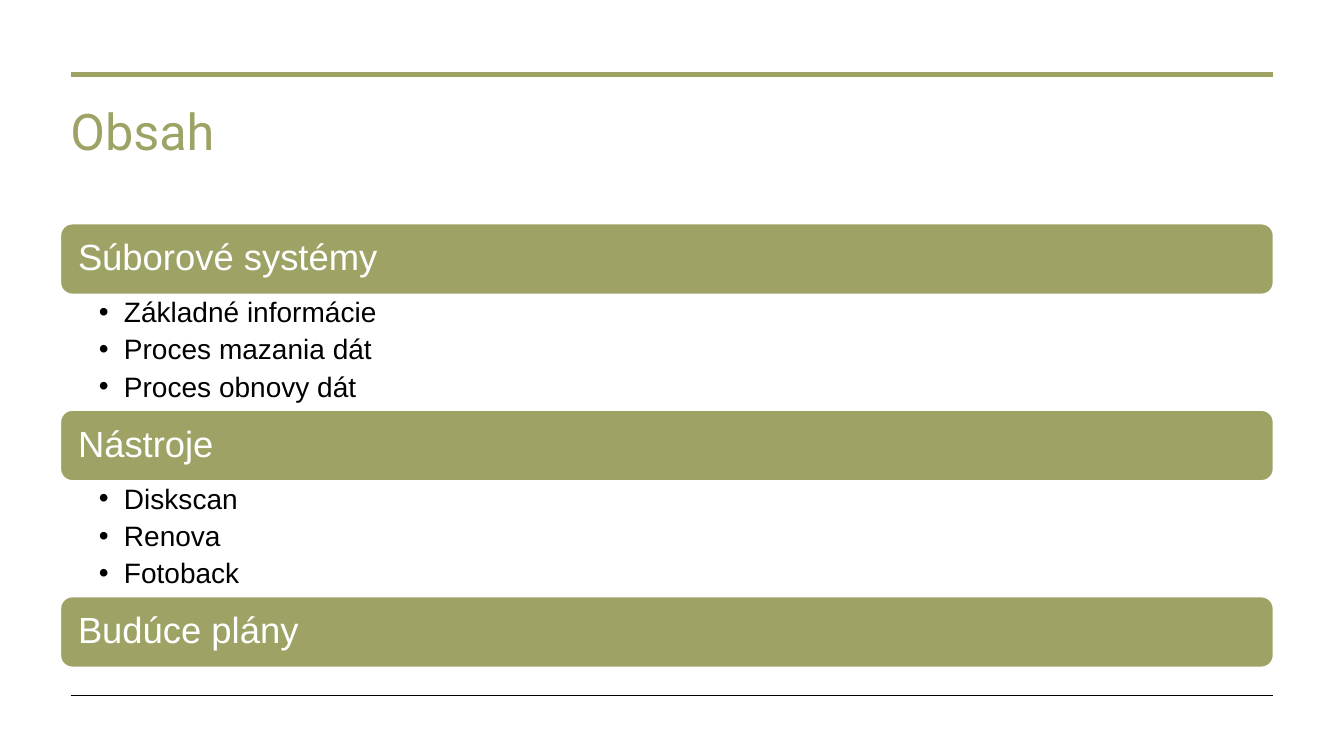
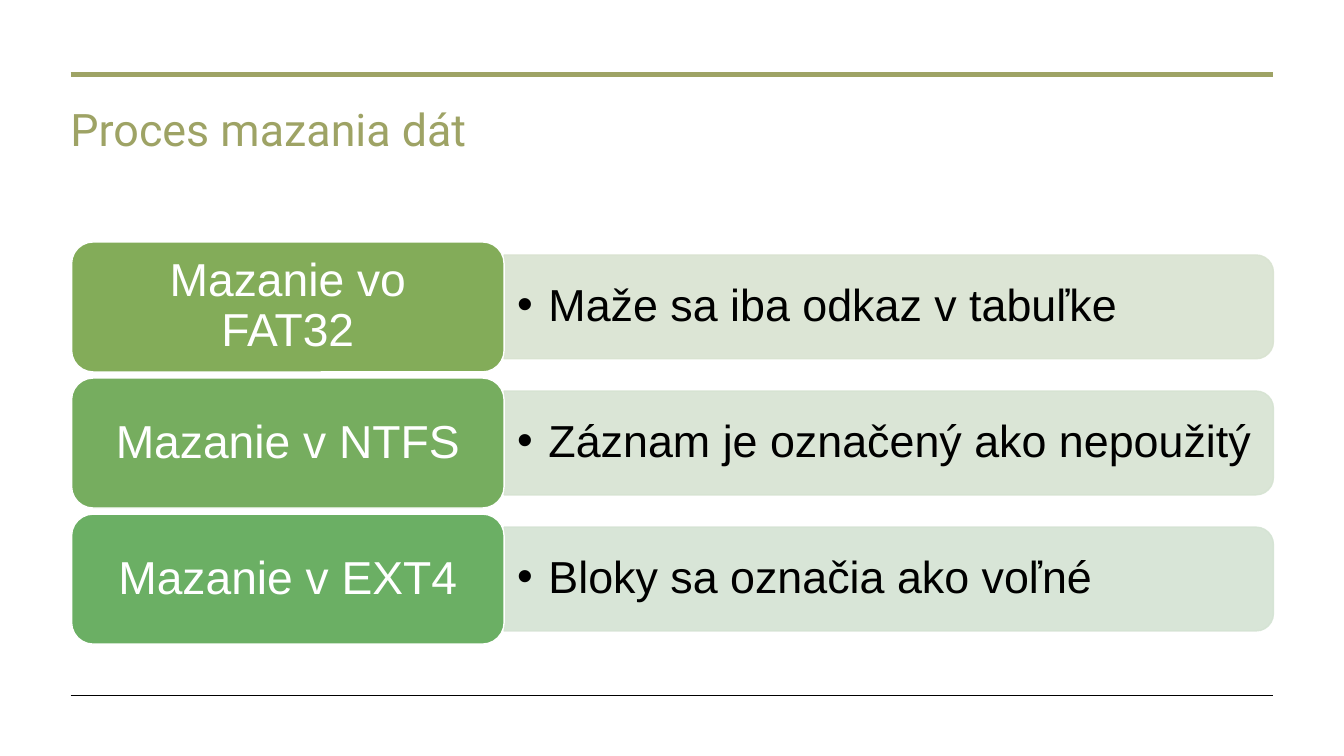
from lxml import etree
from pptx import Presentation
from pptx.dml.color import RGBColor
from pptx.enum.shapes import MSO_CONNECTOR, MSO_SHAPE
from pptx.enum.text import MSO_ANCHOR, PP_ALIGN
from pptx.oxml.ns import qn
from pptx.util import Pt

EMU_PER_PX = 9144  # 100 px to the inch
OLIVE, BLACK, WHITE = "9EA365", "000000", "FFFFFF"
TITLE_FONT, BODY_FONT = "Roboto", "Arial"

SECTIONS = [
    ("Súborové systémy", ["Základné informácie", "Proces mazania dát", "Proces obnovy dát"]),
    ("Nástroje", ["Diskscan", "Renova", "Fotoback"]),
    ("Budúce plány", []),
]
# Heading, explanation, card colour, bar colour
DELETIONS = [
    ("Mazanie vo FAT32", "Maže sa iba odkaz v tabuľke", "83AC59", "D9E3D1"),
    ("Mazanie v NTFS", "Záznam je označený ako nepoužitý", "76AD5F", "D6E3D2"),
    ("Mazanie v EXT4", "Bloky sa označia ako voľné", "6BAF64", "D4E3D3"),
]


def px(length):
    return round(length * EMU_PER_PX)


def color(hex_string):
    return RGBColor.from_string(hex_string)


def write(shape, lines, *, size, fill, font=BODY_FONT, align=PP_ALIGN.LEFT,
          anchor=MSO_ANCHOR.TOP, insets=(10, 5, 10, 5), line_spacing=0.9,
          space_after=0, bullet_indent=0):
    """Write one paragraph per line; insets run left, top, right, bottom."""
    frame = shape.text_frame
    frame.word_wrap = True
    frame.vertical_anchor = anchor
    (frame.margin_left, frame.margin_top,
     frame.margin_right, frame.margin_bottom) = map(px, insets)
    for index, line in enumerate(lines):
        paragraph = frame.add_paragraph() if index else frame.paragraphs[0]
        paragraph.alignment = align
        paragraph.line_spacing = line_spacing
        paragraph.space_after = Pt(space_after)
        run = paragraph.add_run()
        run.text = line
        run.font.name = font
        run.font.size = Pt(size)
        run.font.color.rgb = color(fill)
        if bullet_indent:
            properties = paragraph._p.get_or_add_pPr()
            properties.set("marL", str(px(bullet_indent)))
            properties.set("indent", str(-px(bullet_indent)))
            etree.SubElement(properties, qn("a:buFont")).set("typeface", BODY_FONT)
            etree.SubElement(properties, qn("a:buChar")).set("char", "•")


def add_text(slide, box, lines, **text_format):
    text_box = slide.shapes.add_textbox(*map(px, box))
    write(text_box, lines, **text_format)


def add_box(slide, kind, box, fill, outline=WHITE):
    shape = slide.shapes.add_shape(kind, *map(px, box))
    shape.shadow.inherit = False
    shape.fill.solid()
    shape.fill.fore_color.rgb = color(fill)
    shape.line.color.rgb = color(outline)
    shape.line.width = Pt(1)
    return shape


def set_opacity(shape, percent):
    for tint in shape.element.spPr.iter(qn("a:srgbClr")):
        etree.SubElement(tint, qn("a:alpha")).set("val", str(percent * 1000))


def add_rule(slide, top, fill, width):
    rule = slide.shapes.add_connector(
        MSO_CONNECTOR.STRAIGHT, px(70), px(top), px(1263), px(top))
    rule.line.color.rgb = color(fill)
    rule.line.width = Pt(width)
    etree.SubElement(rule.element.spPr, qn("a:effectLst"))


def add_framed_slide(presentation, title, title_size):
    """Add a blank slide with the shared rules and title."""
    slide = presentation.slides.add_slide(presentation.slide_layouts[6])
    add_rule(slide, 74, OLIVE, 3)
    add_rule(slide, 690, BLACK, 0.5)
    add_text(slide, (60, 104, 1202, 118), [title], size=title_size,
             fill=OLIVE, font=TITLE_FONT, line_spacing=0.85)
    return slide


def add_section(slide, box, heading, items):
    """Place a heading band at the top of the box and its bullets below."""
    left, top, width, height = box
    band_height = 70
    band = add_box(slide, MSO_SHAPE.ROUNDED_RECTANGLE,
                   (left, top, width, band_height), OLIVE)
    write(band, [heading], size=26, fill=WHITE, anchor=MSO_ANCHOR.MIDDLE,
          insets=(14, 11, 14, 11))
    if items:
        add_text(slide, (left, top + band_height, width, height - band_height),
                 items, size=20, fill=BLACK, insets=(38, 4, 20, 4),
                 space_after=5, bullet_indent=25)


def add_deletion_row(slide, box, heading, explanation, card_fill, bar_fill):
    """Place a card at the left of the box and a bar with rounded right end."""
    left, top, width, height = box
    card_width, bar_height = 429, 103
    bar_left, bar_width = left + card_width, width - card_width
    bar_top = top + (height - bar_height) / 2
    # The bar is drawn upright about the same centre, then turned on its side.
    turn = (bar_width - bar_height) / 2
    bar = add_box(slide, MSO_SHAPE.ROUND_2_SAME_RECTANGLE,
                  (bar_left + turn, bar_top - turn, bar_height, bar_width),
                  bar_fill, bar_fill)
    bar.rotation = 90
    set_opacity(bar, 90)
    add_text(slide, (bar_left, bar_top, bar_width - 5, bar_height), [explanation],
             size=32, fill=BLACK, anchor=MSO_ANCHOR.MIDDLE,
             insets=(13, 7, 13, 7), bullet_indent=31)
    card = add_box(slide, MSO_SHAPE.ROUNDED_RECTANGLE,
                   (left, top, card_width, height), card_fill)
    write(card, [heading], size=33, fill=WHITE, align=PP_ALIGN.CENTER,
          anchor=MSO_ANCHOR.MIDDLE, insets=(20, 13, 20, 13))


def build_contents(presentation):
    slide = add_framed_slide(presentation, "Obsah", 36)
    height = 185
    for index, section in enumerate(SECTIONS):
        add_section(slide, (60, 222 + index * height, 1203, height), *section)


def build_deletion(presentation):
    slide = add_framed_slide(presentation, "Proces mazania dát", 32)
    height, gap = 129, 6
    for index, deletion in enumerate(DELETIONS):
        top = 240 + index * (height + gap)
        add_deletion_row(slide, (71, top, 1192, height), *deletion)


def main():
    presentation = Presentation()
    presentation.slide_width = px(1333)
    presentation.slide_height = px(750)
    build_contents(presentation)
    build_deletion(presentation)
    presentation.save("out.pptx")


if __name__ == "__main__":
    main()
